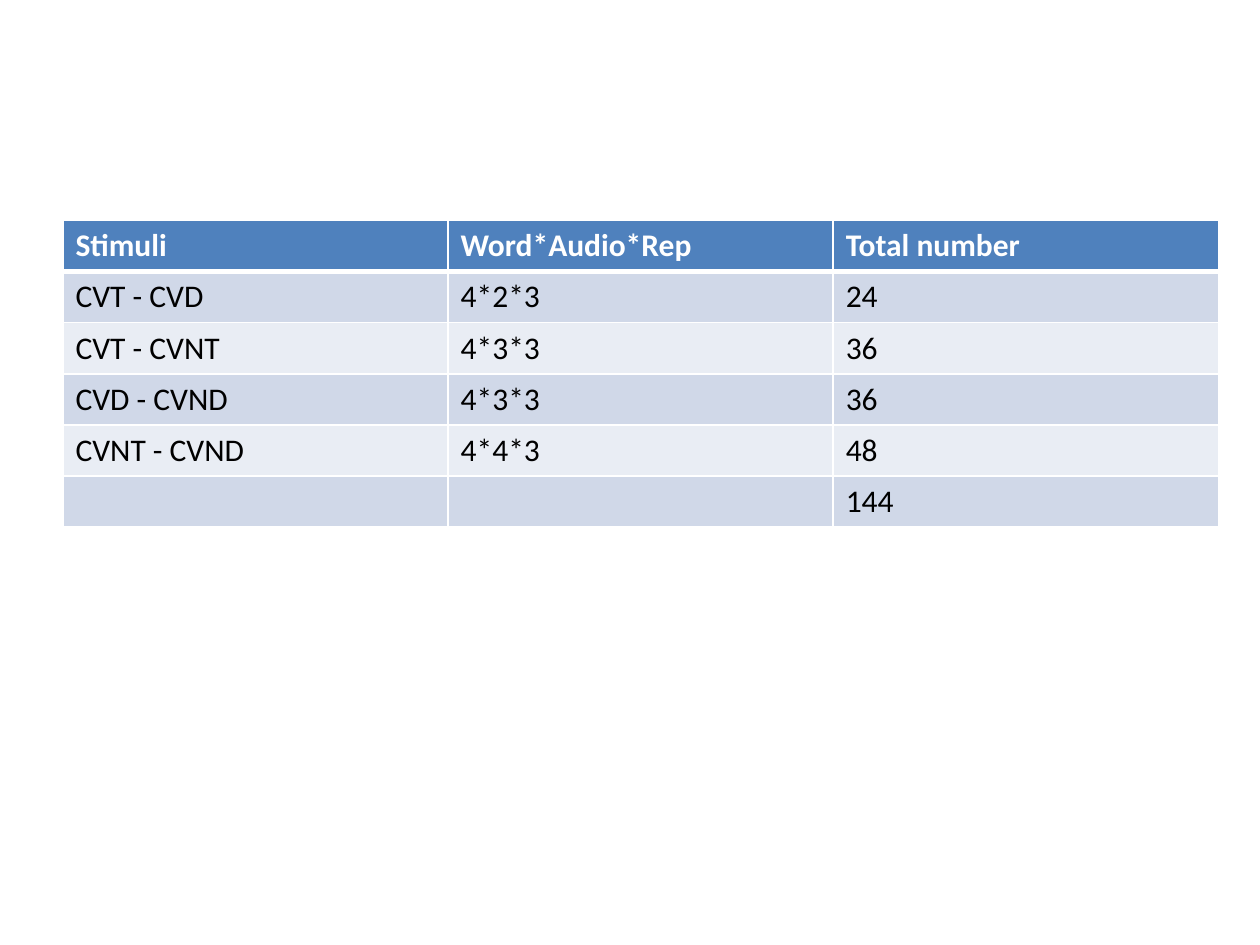
from lxml import etree
from pptx import Presentation
from pptx.dml.color import RGBColor
from pptx.oxml.ns import qn
from pptx.util import Inches, Pt

BLANK_LAYOUT = 6
WHITE = "FFFFFF"
HEADER_FILL = "4F81BD"
BAND_FILLS = ("E9EDF4", "D0D8E8")
HEADER_FORMAT = {"name": "Calibri", "size": Pt(18), "bold": True}
BODY_FORMAT = {**HEADER_FORMAT, "bold": False}
ROWS = [
    ("Stimuli", "Word*Audio*Rep", "Total number"),
    ("CVT - CVD", "4*2*3", "24"),
    ("CVT - CVNT", "4*3*3", "36"),
    ("CVD - CVND", "4*3*3", "36"),
    ("CVNT - CVND", "4*4*3", "48"),
    ("", "", "144"),
]


def color(hex_value):
    return RGBColor.from_string(hex_value)


def set_borders(cell, widths):
    """Draw white borders; widths maps a side (L, R, T, B) to points."""
    properties = cell._tc.get_or_add_tcPr()
    for side, width in widths.items():
        line = etree.SubElement(properties, qn(f"a:ln{side}"), w=str(Pt(width)))
        fill = etree.SubElement(line, qn("a:solidFill"))
        etree.SubElement(fill, qn("a:srgbClr"), val=WHITE)


def fill_cell(cell, fill_color):
    cell.fill.solid()
    cell.fill.fore_color.rgb = color(fill_color)


def write_cell(cell, text, font_color, font_format):
    paragraph = cell.text_frame.paragraphs[0]
    if text:
        paragraph.text = text
    for name, value in font_format.items():
        setattr(paragraph.font, name, value)
        for run in paragraph.runs:
            setattr(run.font, name, value)
    for run in paragraph.runs:
        run.font.color.rgb = color(font_color)


def add_stimuli_table(slide):
    table = slide.shapes.add_table(
        len(ROWS), len(ROWS[0]),
        Inches(0.5), Inches(1.75), Inches(9.17), Inches(2.43),
    ).table
    for row_index, texts in enumerate(ROWS):
        is_header = row_index == 0
        fill_color = HEADER_FILL if is_header else BAND_FILLS[row_index % 2]
        font_color = WHITE if is_header else "000000"
        font_format = HEADER_FORMAT if is_header else BODY_FORMAT
        widths = {
            "L": 1, "R": 1,
            "T": 3 if row_index == 1 else 1,
            "B": 3 if is_header else 1,
        }
        for column_index, text in enumerate(texts):
            cell = table.cell(row_index, column_index)
            set_borders(cell, widths)
            fill_cell(cell, fill_color)
            write_cell(cell, text, font_color, font_format)


def main():
    presentation = Presentation()
    presentation.slide_width = Inches(10)
    presentation.slide_height = Inches(7.5)
    slide = presentation.slides.add_slide(presentation.slide_layouts[BLANK_LAYOUT])
    add_stimuli_table(slide)
    presentation.save("out.pptx")


if __name__ == "__main__":
    main()
